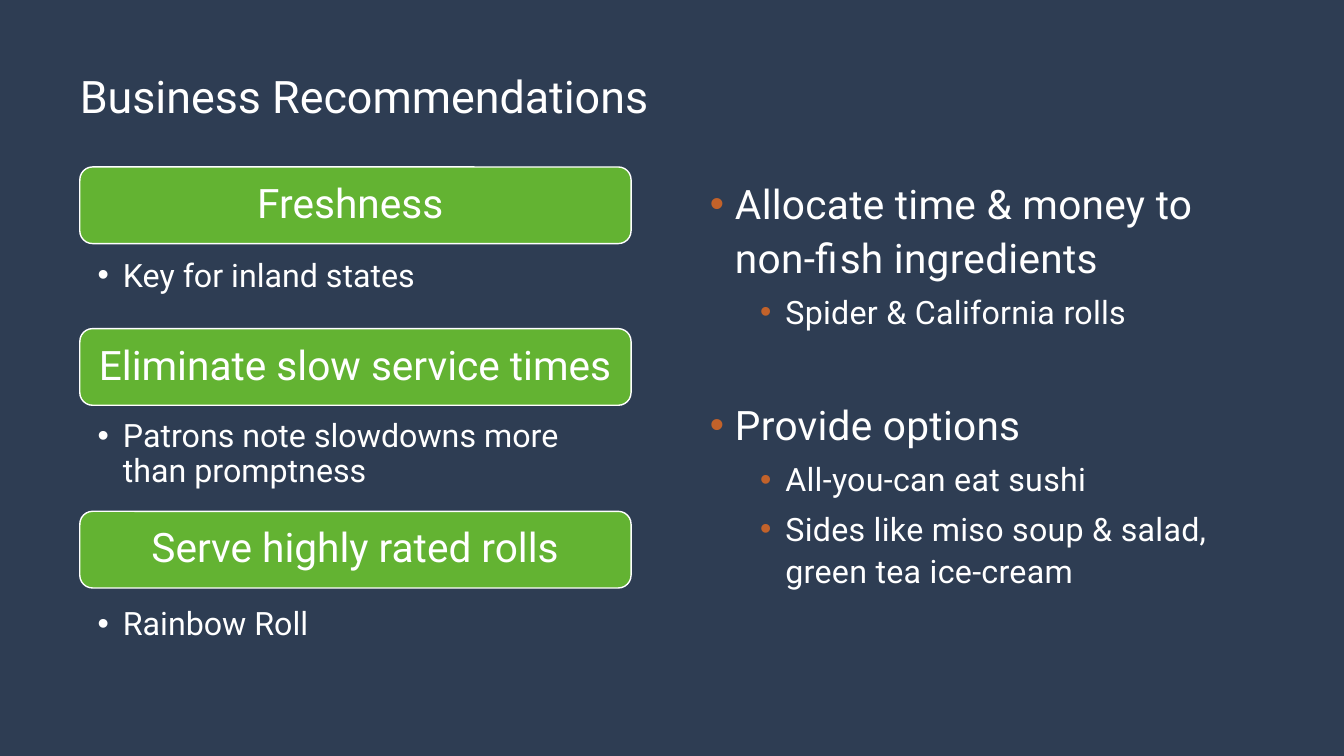
from lxml import etree
from pptx import Presentation
from pptx.dml.color import RGBColor
from pptx.enum.shapes import MSO_SHAPE
from pptx.enum.text import MSO_ANCHOR, PP_ALIGN
from pptx.oxml.ns import qn
from pptx.util import Pt

EMU_PER_PX = 9525


def px(length):
    return length * EMU_PER_PX


def color(hex_string):
    return RGBColor.from_string(hex_string)


class RecommendationSlide:
    FONT = "Roboto"
    NAVY, GREEN, ORANGE, WHITE = "2E3D53", "63B332", "C2622A", "FFFFFF"
    TITLE_SIZE, HEAD_SIZE, DETAIL_SIZE = 32, 29, 23
    HANG = 24

    def __init__(self, presentation):
        self.slide = presentation.slides.add_slide(presentation.slide_layouts[6])
        background = self.slide.background.fill
        background.solid()
        background.fore_color.rgb = color(self.NAVY)

    def set_frame(self, frame, insets, anchor=MSO_ANCHOR.TOP):
        frame.word_wrap = True
        frame.vertical_anchor = anchor
        (frame.margin_left, frame.margin_top,
         frame.margin_right, frame.margin_bottom) = map(px, insets)

    def text_box(self, x, y, width, height, insets=(0, 0, 0, 0)):
        box = self.slide.shapes.add_textbox(px(x), px(y), px(width), px(height))
        self.set_frame(box.text_frame, insets)
        return box.text_frame

    def add_run(self, paragraph, text, size, tracking=0):
        run = paragraph.add_run()
        run.text = text
        run.font.name = self.FONT
        run.font.size = Pt(size)
        run.font.color.rgb = color(self.WHITE)
        if tracking:
            run.font._element.set("spc", str(tracking))

    def add_bullet(self, paragraph, indent, bullet_color):
        properties = paragraph._p.get_or_add_pPr()
        properties.set("marL", str(px(indent)))
        properties.set("indent", str(px(-self.HANG)))
        holder = etree.SubElement(properties, qn("a:buClr"))
        etree.SubElement(holder, qn("a:srgbClr"), val=bullet_color)
        etree.SubElement(properties, qn("a:buFont"), typeface="Arial")
        etree.SubElement(properties, qn("a:buChar"), char="•")

    def title(self, text, x, y, width, height):
        frame = self.text_box(x, y, width, height)
        self.add_run(frame.paragraphs[0], text, self.TITLE_SIZE)

    def card(self, text, x, y, width, height):
        card = self.slide.shapes.add_shape(
            MSO_SHAPE.ROUNDED_RECTANGLE, px(x), px(y), px(width), px(height))
        card.shadow.inherit = False
        card.fill.solid()
        card.fill.fore_color.rgb = color(self.GREEN)
        card.line.color.rgb = color(self.WHITE)
        card.line.width = Pt(1)
        self.set_frame(card.text_frame, (13, 13, 13, 13), MSO_ANCHOR.MIDDLE)
        heading = card.text_frame.paragraphs[0]
        heading.alignment = PP_ALIGN.CENTER
        heading.line_spacing = 0.9
        self.add_run(heading, text, self.HEAD_SIZE)

    def note(self, text, x, y, width, height):
        frame = self.text_box(x, y, width, height, (17, 4, 22, 4))
        detail = frame.paragraphs[0]
        detail.line_spacing = 0.9
        self.add_bullet(detail, self.HANG, self.WHITE)
        self.add_run(detail, text, self.DETAIL_SIZE)

    def outline(self, items, x, y, width, height):
        frame = self.text_box(x, y, width, height)
        for index, (level, space_before, text) in enumerate(items):
            item = frame.add_paragraph() if index else frame.paragraphs[0]
            item.level = level
            item.line_spacing = 1.1
            item.space_before = Pt(space_before)
            self.add_bullet(item, self.HANG + 48 * level, self.ORANGE)
            size = self.DETAIL_SIZE if level else self.HEAD_SIZE
            self.add_run(item, text, size, tracking=20)


def main():
    presentation = Presentation()
    presentation.slide_width = px(1280)
    presentation.slide_height = px(720)
    slide = RecommendationSlide(presentation)
    left, column_width = 76, 525

    slide.title("Business Recommendations", left, 65, 1126, 80)

    # Left column: heading cards, each with a supporting note
    recommendations = [
        (159, "Freshness ", 243, 51, "Key for inland states"),
        (313, "Eliminate slow service times", 396, 76,
         "Patrons note slowdowns more than promptness"),
        (487, "Serve highly rated rolls", 575, 51, "Rainbow Roll"),
    ]
    for card_top, heading, note_top, note_height, detail in recommendations:
        slide.card(heading, left, card_top, column_width, 73)
        slide.note(detail, left, note_top, column_width, note_height)

    # Right column: level, space before in points, text
    slide.outline([
        (0, 10, "Allocate time & money to non-fish ingredients"),
        (1, 5, "Spider & California rolls"),
        (0, 46, "Provide options"),
        (1, 5, "All-you-can eat sushi"),
        (1, 5, "Sides like miso soup & salad, green tea ice-cream"),
    ], 676, 166, column_width, 460)

    presentation.save("out.pptx")


if __name__ == "__main__":
    main()
